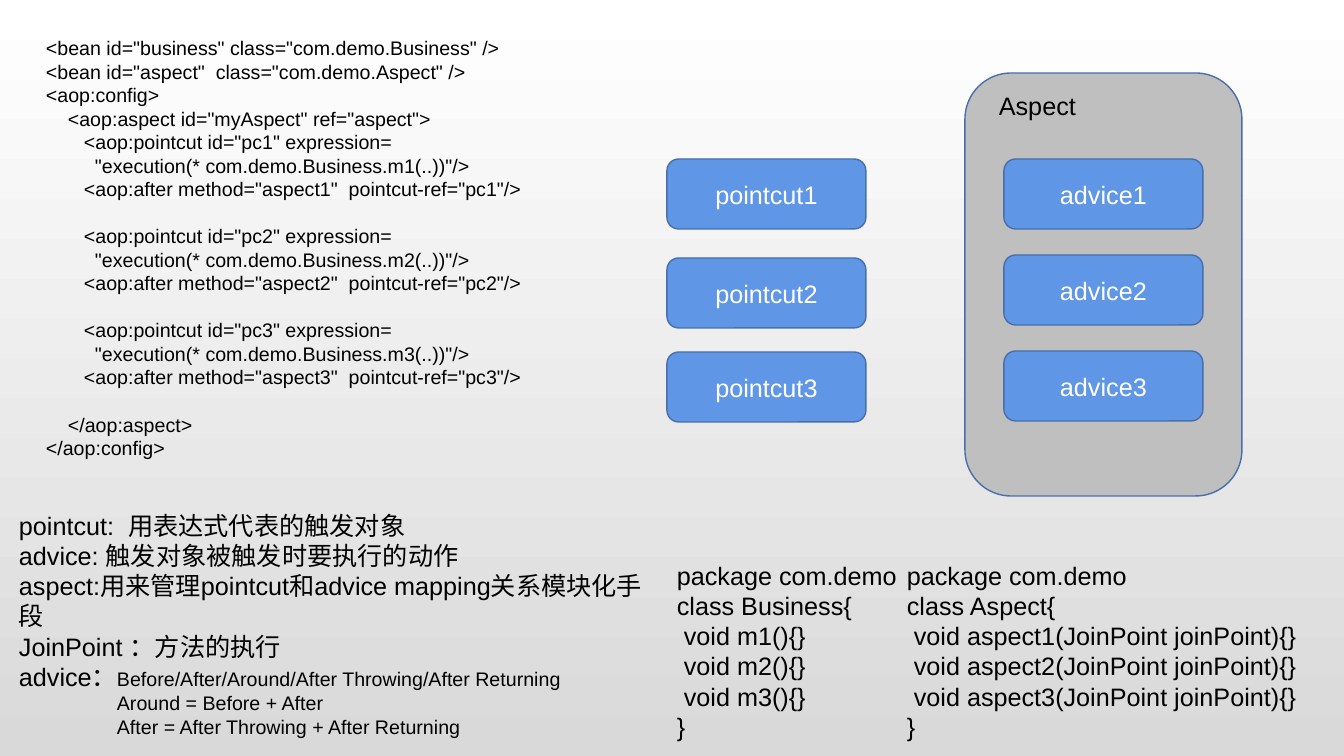
from dataclasses import dataclass

from pptx import Presentation
from pptx.dml.color import RGBColor
from pptx.enum.shapes import MSO_SHAPE
from pptx.enum.text import MSO_ANCHOR, MSO_AUTO_SIZE, PP_ALIGN
from pptx.util import Emu, Pt

ROUNDED = MSO_SHAPE.ROUNDED_RECTANGLE
MIDDLE, TOP = MSO_ANCHOR.MIDDLE, MSO_ANCHOR.TOP
CENTER, LEFT = PP_ALIGN.CENTER, PP_ALIGN.LEFT
GROW = MSO_AUTO_SIZE.SHAPE_TO_FIT_TEXT
EMU_PER_PIXEL = 914400 / 100.8
LINE_FACTOR = 1.2


@dataclass(frozen=True)
class Theme:
    """Colours, font and type sizes of the slide."""
    font: str = "Arial"
    body: int = 18
    code: int = 14
    ink: str = "000000"
    inverse: str = "FFFFFF"
    panel: str = "BFBFBF"
    button: str = "6096E6"
    outline: str = "476FAA"
    back_top: str = "FFFFFF"
    back_bottom: str = "D9D9D9"


@dataclass
class Line:
    """One paragraph: (text, size) spans, left indent and gap above."""
    spans: list
    indent: int = 0
    gap: float = 0


def px(value):
    """Turn pixels into EMU."""
    return Emu(round(value * EMU_PER_PIXEL))


def color(value):
    """Turn a hex string into a colour."""
    return RGBColor.from_string(value)


def apply(target, values):
    """Set each attribute named in a dict."""
    for name, value in values.items():
        setattr(target, name, value)


class SlideBuilder:
    """Holds the theme and the slide being built."""

    def __init__(self, slide, theme):
        """Keep the slide and its style."""
        self.slide, self.theme = slide, theme

    def background(self):
        """Paint the vertical gradient behind everything."""
        fill = self.slide.background.fill
        fill.gradient()
        fill.gradient_angle = 270
        shades = (self.theme.back_top, self.theme.back_bottom)
        for position, (stop, shade) in enumerate(zip(fill.gradient_stops, shades)):
            stop.color.rgb = color(shade)
            stop.position = position

    def fill_text(self, frame, lines, ink, align=LEFT):
        """Fill a text frame with paragraphs."""
        for index, line in enumerate(lines):
            para = frame.add_paragraph() if index else frame.paragraphs[0]
            tallest = max(size for _, size in line.spans)
            apply(para, {"alignment": align, "space_before": Pt(line.gap),
                         "line_spacing": Pt(tallest * LINE_FACTOR)})
            if line.indent:
                para._p.get_or_add_pPr().set("marL", str(px(line.indent)))
            for text, size in line.spans:
                span = para.add_run()
                span.text = text
                apply(span.font, {"name": self.theme.font, "size": Pt(size)})
                span.font.color.rgb = color(ink)

    def rounded(self, bounds, fill, label="", parent=None):
        """Add a rounded box, with a centred label if given."""
        box = (parent or self.slide).shapes.add_shape(ROUNDED, *map(px, bounds))
        box.shadow.inherit = False
        box.fill.solid()
        box.fill.fore_color.rgb = color(fill)
        box.line.color.rgb = color(self.theme.outline)
        box.line.width = Pt(1)
        if label:
            box.text_frame.vertical_anchor = MIDDLE
            self.fill_text(box.text_frame, [Line([(label, self.theme.body)])],
                           self.theme.inverse, CENTER)

    def buttons(self, name, left, tops, parent=None):
        """Add a numbered column of equal boxes."""
        for number, top in enumerate(tops, 1):
            self.rounded((left, top, 199, 70), self.theme.button,
                         f"{name}{number}", parent)

    def text(self, bounds, lines, wrap=True):
        """Add a text box."""
        frame = self.slide.shapes.add_textbox(*map(px, bounds)).text_frame
        apply(frame, {"word_wrap": wrap, "auto_size": GROW, "vertical_anchor": TOP})
        self.fill_text(frame, lines, self.theme.ink)


def config_lines(size):
    """List the XML configuration, one block per pointcut."""
    def line(text, indent=0, gap=0):
        """Make one line of code."""
        return Line([(text, size)], indent, gap)

    blank = size * LINE_FACTOR
    lines = [line('<bean id="business" class="com.demo.Business" />'),
             line('<bean id="aspect"  class="com.demo.Aspect" />'),
             line("<aop:config>"),
             line('<aop:aspect id="myAspect" ref="aspect">', 22)]
    for n in (1, 2, 3):
        lines += [
            line(f'<aop:pointcut id="pc{n}" expression=', 38, blank if n > 1 else 0),
            line(f'"execution(* com.demo.Business.m{n}(..))"/>', 49),
            line(f'<aop:after method="aspect{n}"  pointcut-ref="pc{n}"/>', 38)]
    return lines + [line("</aop:aspect>", 22, blank), line("</aop:config>")]


def class_lines(name, method, arguments, size):
    """List a class with three numbered methods."""
    methods = [Line([(f"void {method}{n}({arguments}){{}}", size)], 7)
               for n in (1, 2, 3)]
    return [Line([("package com.demo", size)]), Line([(f"class {name}{{", size)]),
            *methods, Line([("}", size)])]


def term_lines(body, small):
    """List the explanations of the terms."""
    terms = ("pointcut:  用表达式代表的触发对象",
             "advice: 触发对象被触发时要执行的动作",
             "aspect:用来管理pointcut和advice mapping关系模块化手段",
             "JoinPoint ：方法的执行")
    kinds = "Before/After/Around/After Throwing/After Returning"
    sums = ("Around = Before + After", "After = After Throwing + After Returning")
    return [*(Line([(term, body)]) for term in terms),
            Line([("advice：", body), (kinds, small)]),
            *(Line([(text, small)], 98) for text in sums)]


def main():
    """Build and save the deck."""
    deck = Presentation()
    apply(deck, {"slide_width": px(1344), "slide_height": px(756)})
    theme = Theme()
    page = SlideBuilder(deck.slides.add_slide(deck.slide_layouts[6]), theme)
    page.background()

    page.rounded((965, 73, 277, 423), theme.panel)
    page.buttons("advice", 1004, range(159, 352, 96))
    page.text((989, 85, 97, 40), [Line([("Aspect", theme.body)])], wrap=False)
    # A group shape has its own shapes collection, like the slide.
    pointcuts = page.slide.shapes.add_group_shape()
    page.buttons("pointcut", 667, (159, 258, 352), pointcuts)

    page.text((667, 555, 272, 194), class_lines("Business", "m", "", theme.body))
    page.text((897, 555, 496, 194),
              class_lines("Aspect", "aspect", "JoinPoint joinPoint", theme.body))
    page.text((36, 31, 875, 437), config_lines(theme.code))
    page.text((9, 505, 668, 211), term_lines(theme.body, theme.code))
    deck.save("out.pptx")


main()
